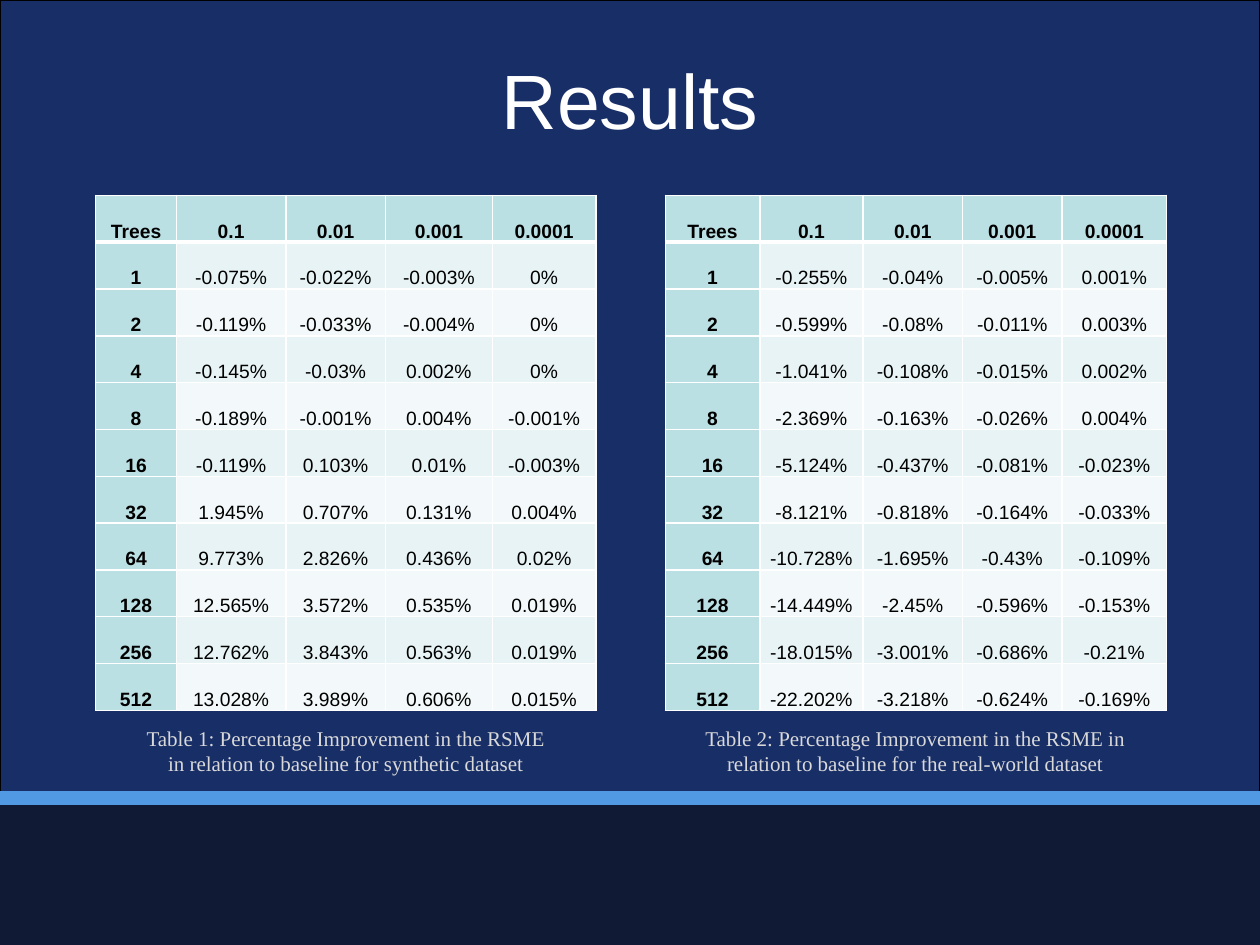
from lxml.etree import SubElement
from pptx import Presentation
from pptx.dml.color import RGBColor
from pptx.enum.shapes import MSO_CONNECTOR, MSO_SHAPE
from pptx.enum.text import MSO_ANCHOR, PP_ALIGN
from pptx.oxml.ns import qn
from pptx.util import Inches, Pt

COLORS = {
    "navy": "182E67",
    "footer": "101A35",
    "rule": "519AE3",
    "outline": "000000",
    "title": "FFFFFF",
    "caption": "D9D9D9",
    "grid": "FFFFFF",
    "cell_text": "000000",
    "head": "BBE0E3",
    "odd": "E7F3F4",
    "even": "F3F9FA",
}

RATES = ["0.1", "0.01", "0.001", "0.0001"]
SYNTHETIC = """
1 -0.075 -0.022 -0.003 0
2 -0.119 -0.033 -0.004 0
4 -0.145 -0.03 0.002 0
8 -0.189 -0.001 0.004 -0.001
16 -0.119 0.103 0.01 -0.003
32 1.945 0.707 0.131 0.004
64 9.773 2.826 0.436 0.02
128 12.565 3.572 0.535 0.019
256 12.762 3.843 0.563 0.019
512 13.028 3.989 0.606 0.015
"""
REAL_WORLD = """
1 -0.255 -0.04 -0.005 0.001
2 -0.599 -0.08 -0.011 0.003
4 -1.041 -0.108 -0.015 0.002
8 -2.369 -0.163 -0.026 0.004
16 -5.124 -0.437 -0.081 -0.023
32 -8.121 -0.818 -0.164 -0.033
64 -10.728 -1.695 -0.43 -0.109
128 -14.449 -2.45 -0.596 -0.153
256 -18.015 -3.001 -0.686 -0.21
512 -22.202 -3.218 -0.624 -0.169
"""


def rgb(name):
    return RGBColor.from_string(COLORS[name])


def style_paragraph(p, size, font, color, bold=False):
    p.alignment = PP_ALIGN.CENTER
    p.font.size = Pt(size)
    p.font.name = font
    p.font.bold = bold
    p.font.color.rgb = rgb(color)


def add_band(s, left, top, width, height, color):
    sp = s.shapes.add_shape(MSO_SHAPE.RECTANGLE, left, top, width, height)
    sp.shadow.inherit = False
    sp.fill.solid()
    sp.fill.fore_color.rgb = rgb(color)
    sp.line.fill.background()
    return sp


def add_background(s, left, top, width, height):
    upper = Inches(6.33)
    body = add_band(s, left, top, width, upper, "navy")
    body.line.color.rgb = rgb("outline")
    body.line.width = Pt(0.75)
    add_band(s, left, top + upper, width, height - upper, "footer")
    rule = s.shapes.add_connector(
        MSO_CONNECTOR.STRAIGHT, left, top + upper, left + width, top + upper)
    rule.line.color.rgb = rgb("rule")
    rule.line.width = Pt(8)
    SubElement(rule._element.spPr, qn("a:effectLst"))


def add_text(s, left, top, width, height, text, size, font, color):
    sp = s.shapes.add_textbox(left, top, width, height)
    tf = sp.text_frame
    tf.word_wrap = True
    p = tf.paragraphs[0]
    p.text = text
    style_paragraph(p, size, font, color)
    return tf


def add_title(s, left, top, width, height):
    tf = add_text(s, left, top, width, height, "Results", 44, "Arial", "title")
    tf.margin_top = Inches(0.12)


def set_borders(cell, top, bottom):
    tc_pr = cell._tc.get_or_add_tcPr()
    for tag, width in (("lnL", 1), ("lnR", 1), ("lnT", top), ("lnB", bottom)):
        ln = SubElement(tc_pr, qn(f"a:{tag}"), w=str(Pt(width)))
        fill = SubElement(ln, qn("a:solidFill"))
        SubElement(fill, qn("a:srgbClr"), val=COLORS["grid"])


def style_cell(cell, text, row, col):
    is_head = row == 0 or col == 0
    cell.vertical_anchor = MSO_ANCHOR.BOTTOM
    cell.margin_left = cell.margin_right = Inches(0.07)
    cell.margin_top = cell.margin_bottom = 0
    p = cell.text_frame.paragraphs[0]
    p.text = text
    style_paragraph(p, 11, "Arial", "cell_text", is_head)
    set_borders(cell, 3 if row == 1 else 1, 3 if row == 0 else 1)
    cell.fill.solid()
    cell.fill.fore_color.rgb = rgb("head" if is_head else "odd" if row % 2 else "even")


def add_results_table(s, left, top, width, height, col_widths, data):
    rows = [["Trees", *RATES]]
    for line in data.strip().splitlines():
        trees, *values = line.split()
        rows.append([trees, *(f"{value}%" for value in values)])
    table = s.shapes.add_table(
        len(rows), len(rows[0]), left, top, width, height).table
    for column, col_width in zip(table.columns, col_widths):
        column.width = Inches(col_width)
    for i, row in enumerate(rows):
        table.rows[i].height = height // len(rows)
        for j, text in enumerate(row):
            style_cell(table.cell(i, j), text, i, j)


def add_panel(s, left, top, width, height, col_widths, data, caption, indent):
    table_height = Inches(4.09)
    caption_top = Inches(4.16)
    add_results_table(s, left, top, width, table_height, col_widths, data)
    add_text(s, left + indent, top + caption_top, width - 2 * indent,
             height - caption_top, caption, 12, "Times New Roman", "caption")


def build_results_slide(prs):
    s = prs.slides.add_slide(prs.slide_layouts[6])
    add_background(s, 0, 0, prs.slide_width, prs.slide_height)
    add_title(s, Inches(0.5), Inches(0.3), Inches(9), Inches(1.25))
    panels = [
        (0.76, [0.64, 0.87, 0.79, 0.85, 0.82], SYNTHETIC,
         "Table 1: Percentage Improvement in the RSME in relation to baseline "
         "for synthetic dataset", 0.23),
        (5.28, [0.75, 0.82, 0.79, 0.79, 0.83], REAL_WORLD,
         "Table 2: Percentage Improvement in the RSME in relation to baseline "
         "for the real-world dataset", 0),
    ]
    for left, col_widths, data, caption, indent in panels:
        add_panel(s, Inches(left), Inches(1.55), Inches(3.97), Inches(4.66),
                  col_widths, data, caption, Inches(indent))


def main():
    prs = Presentation()
    prs.slide_width = Inches(10)
    prs.slide_height = Inches(7.5)
    build_results_slide(prs)
    prs.save("out.pptx")


if __name__ == "__main__":
    main()
